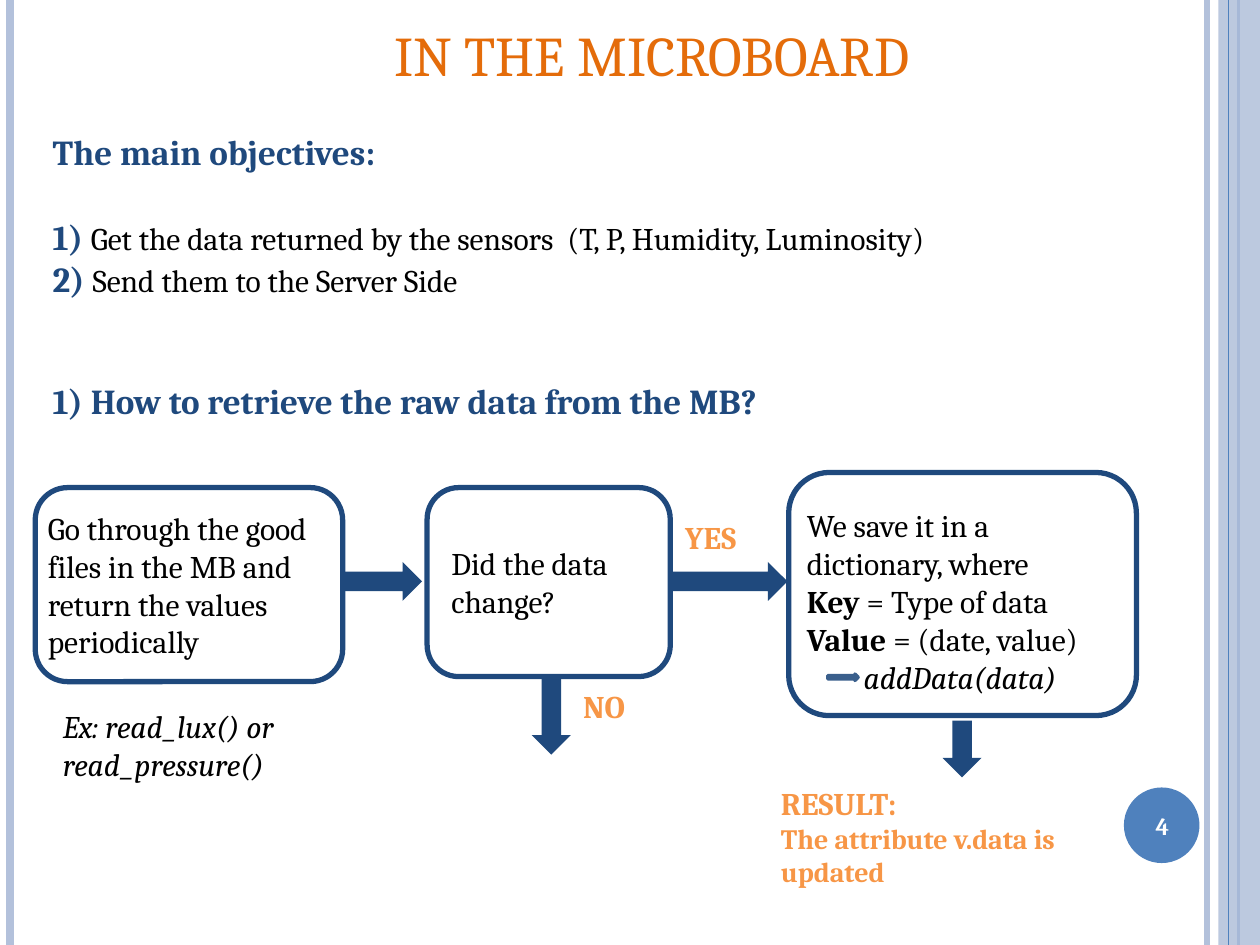
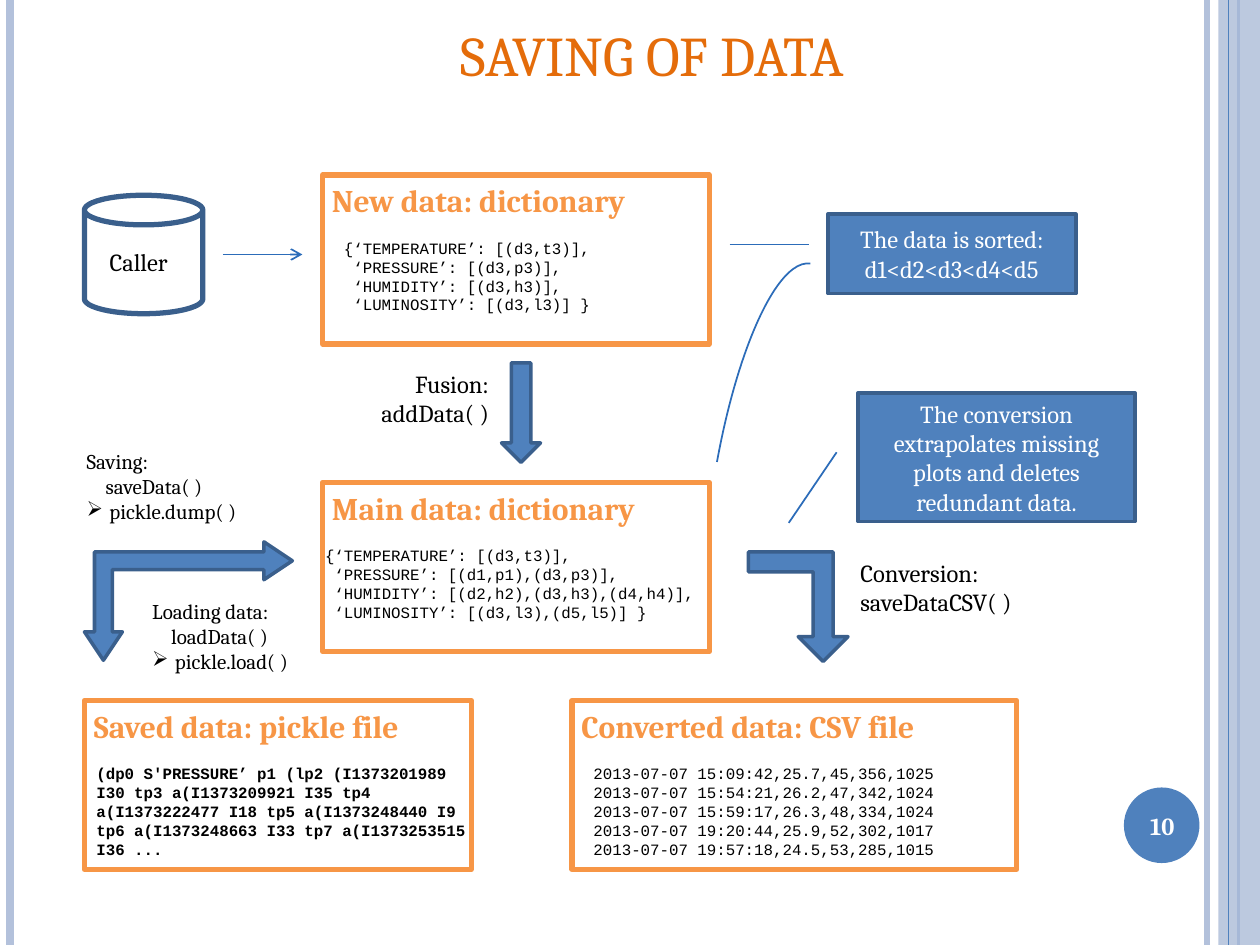
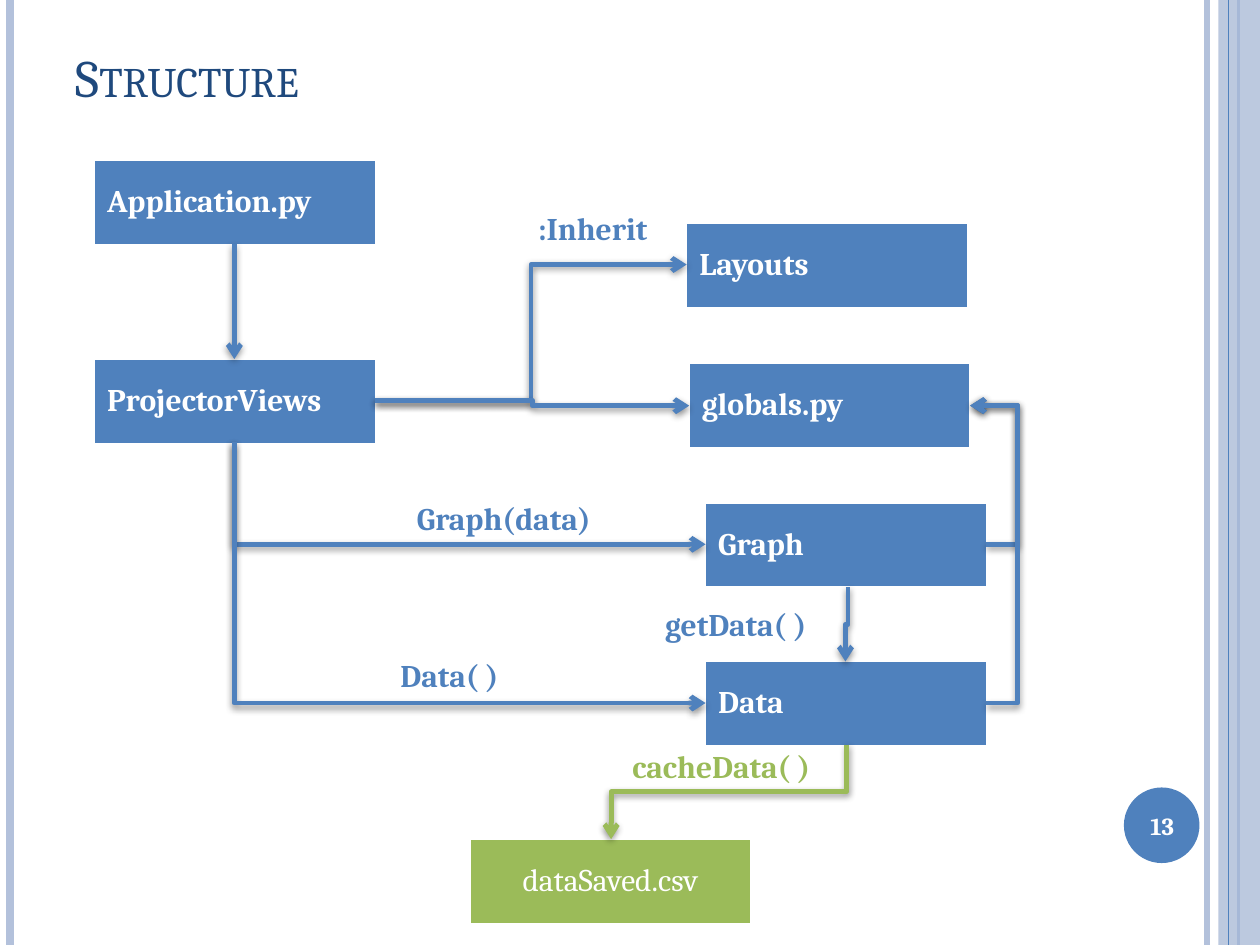
import pptx
import pptx.chart.data
import pptx.dml.color
import pptx.enum.shapes
import pptx.enum.text
import pptx.oxml
import pptx.oxml.ns
import pptx.util
import lxml.etree

COLORS = {
    "black": "000000", "white": "FFFFFF", "navy": "1F497D", "blue": "4F81BD",
    "edge": "3A5F8C", "wire": "2C6CB9", "pale": "B3C1DB", "orange": "F79646",
    "title": "E46C0A", "green": "9BBB59",
}
INK = {name: pptx.dml.color.RGBColor.from_string(code) for name, code in COLORS.items()}
FONT = "Cambria"
SHAPES = pptx.enum.shapes.MSO_SHAPE
ALIGN = pptx.enum.text.PP_ALIGN
ANCHOR = pptx.enum.text.MSO_ANCHOR
qn = pptx.oxml.ns.qn

deck = pptx.Presentation()
deck.slide_width = pptx.util.Inches(10)
deck.slide_height = pptx.util.Inches(7.5)
COL = deck.slide_width / 100
ROW = deck.slide_height / 75


def place(page, area, paras=(), kind=None, fill=None, line=None, weight=2, align="LEFT",
          anchor="TOP", inset=1, turn=0, flip=False, adjust=(), **style):
    left, top, width, height = area
    frame = [int(left * COL), int(top * ROW), int(width * COL), int(height * ROW)]
    if kind == "title":
        box = page.shapes.title
        box.left, box.top, box.width, box.height = frame
    elif kind is None:
        box = page.shapes.add_textbox(*frame)
    else:
        box = page.shapes.add_shape(kind, *frame)
        box.shadow.inherit = False
        box.rotation = turn
        for index, value in enumerate(adjust):
            box.adjustments[index] = value
        if flip:
            box.element.spPr.xfrm.set("flipH", "1")
        if fill:
            box.fill.solid()
            box.fill.fore_color.rgb = INK[fill]
        else:
            box.fill.background()
        if line:
            box.line.color.rgb = INK[line]
            box.line.width = pptx.util.Pt(weight)
        else:
            box.line.fill.background()
    text = box.text_frame
    text.word_wrap = True
    text.auto_size = pptx.enum.text.MSO_AUTO_SIZE.NONE
    text.vertical_anchor = ANCHOR[anchor]
    text.margin_left = text.margin_right = int(inset * COL)
    for index, entry in enumerate(paras):
        entry = entry if isinstance(entry, dict) else {"text": entry}
        look = {"size": 18, "color": "black", "bold": False, "italic": False, "font": FONT,
                **style, **entry}
        para = text.paragraphs[0] if index == 0 else text.add_paragraph()
        para.alignment = ALIGN[align]
        para.space_before = pptx.util.Pt(look.get("before", 0))
        settings = para._p.get_or_add_pPr()
        indent = int(look.get("indent", 0) * COL)
        settings.set("marL", str(indent))
        settings.set("indent", str(-indent if "bullet" in look else 0))
        if "bullet" in look:
            lxml.etree.SubElement(settings, qn("a:buChar")).set("char", look["bullet"])
        if isinstance(look["text"], str):
            para.add_run().text = look["text"]
            targets = [(para.font, look)]
        else:
            targets = []
            for words, extra in look["text"]:
                span = para.add_run()
                span.text = words
                targets.append((span.font, {**look, **extra}))
        for font, traits in targets:
            font.name = traits["font"]
            font.size = pptx.util.Pt(traits["size"])
            font.bold = traits["bold"]
            font.italic = traits["italic"]
            font.color.rgb = INK[traits["color"]]
    return box


def connect(page, start, end, color, weight, arrow=False, shadow=False, preset="line",
            turn=0, flip=False, adjust=None):
    if turn:
        middle = [(a + b) / 2 for a, b in zip(start, end)]
        across, down = [abs(b - a) / 2 for a, b in zip(start, end)]
        start = (middle[0] - down, middle[1] - across)
        end = (middle[0] + down, middle[1] + across)
    link = page.shapes.add_connector(
        pptx.enum.shapes.MSO_CONNECTOR.STRAIGHT,
        int(start[0] * COL), int(start[1] * ROW), int(end[0] * COL), int(end[1] * ROW))
    link.line.color.rgb = INK[color]
    link.line.width = pptx.util.Pt(weight)
    look = link.element.spPr
    geometry = look.find(qn("a:prstGeom"))
    geometry.set("prst", preset)
    if turn:
        look.find(qn("a:xfrm")).set("rot", str(turn * 60000))
    if flip:
        look.find(qn("a:xfrm")).set("flipH", "1")
    if adjust is not None:
        guide = lxml.etree.SubElement(geometry.find(qn("a:avLst")), qn("a:gd"))
        guide.set("name", "adj1")
        guide.set("fmla", f"val {int(adjust * 100000)}")
    if arrow:
        lxml.etree.SubElement(look.find(qn("a:ln")), qn("a:tailEnd")).set("type", "arrow")
    effects = lxml.etree.SubElement(look, qn("a:effectLst"))
    if shadow:
        cast = lxml.etree.SubElement(effects, qn("a:outerShdw"), blurRad="50800",
                                     dist="20320", dir="5400000", rotWithShape="0")
        tone = lxml.etree.SubElement(cast, qn("a:srgbClr"), val=COLORS["black"])
        lxml.etree.SubElement(tone, qn("a:alpha"), val="42000")
    return link


layout = deck.slide_layouts[5]
for holder in list(layout.placeholders):
    if holder.placeholder_format.type != pptx.enum.shapes.PP_PLACEHOLDER.TITLE:
        holder.element.getparent().remove(holder.element)
pages = [deck.slides.add_slide(layout) for _ in range(3)]
goals, saving, structure = pages

decor = [connect(goals, (x, 0), (x, 75), color, weight)
         for x, color, weight in [(95.8, "pale", 3), (0.8, "pale", 4.5), (98.3, "blue", 1.5)]]
band = place(goals, (96.7, 0, 3.3, 75), kind=SHAPES.RECTANGLE, fill="pale")
tone = band.element.spPr.find(qn("a:solidFill")).find(qn("a:srgbClr"))
lxml.etree.SubElement(tone, qn("a:alpha"), val="87000")
decor += [band, connect(goals, (97.5, 0), (97.5, 75), "blue", 0.75),
          place(goals, (89.2, 62.5, 6, 6), kind=SHAPES.OVAL, fill="blue")]
for item in decor:
    layout.shapes.element.append(item.element)

for page, number in zip(pages, ["4", "10", "13"]):
    place(page, (88.9, 62.7, 6.7, 5.7), [number], size=14, color="white", bold=True,
          align="CENTER", anchor="MIDDLE")
for page, heading in [(goals, "IN THE MICROBOARD"), (saving, "SAVING OF DATA")]:
    place(page, (23.2, 1.1, 57.1, 6.4), [heading], kind="title", size=32, color="title",
          align="CENTER")
heading = place(structure, (5, 3, 81.7, 6.1), ["Structure"], kind="title", size=30,
                color="navy", anchor="BOTTOM")
heading.text_frame.paragraphs[0].font._element.set("cap", "small")

label = {"size": 20, "color": "navy", "bold": True}
place(goals, (3.2, 9.9, 92.1, 17.5), [
    {"text": "The main objectives:", **label},
    {"text": [("1) ", label),
              ("Get the data returned by the sensors  (T, P, Humidity, Luminosity)", {})],
     "before": 24},
    {"text": [("2) ", label), ("Send them to the Server Side", {})]},
])
place(goals, (3.2, 29.6, 85.4, 4.4), ["1) How to retrieve the raw data from the MB?"], **label)

key = {"bold": True}
steps = [
    ((2.8, 38.7, 24.4, 15.4), 0.25,
     ["Go through the good files in the MB and return the values periodically"]),
    ((33.9, 38.7, 19.3, 15), 1.2, ["Did the data change?"]),
    ((62.6, 37.5, 27.6, 19.3), 0.5, [
        "We save it in a dictionary, where",
        {"text": [("Key", key), (" = Type of data", {})]},
        {"text": [("Value", key), (" = (date, value)", {})]},
        {"text": "addData(data)", "italic": True, "indent": 4.5}]),
]
for area, inset, words in steps:
    step = place(goals, area, words, kind=SHAPES.ROUNDED_RECTANGLE, line="navy", weight=3,
                 inset=inset, anchor="MIDDLE")
step.text_frame.margin_top = int(1.6 * ROW)

for area, turn in [((27.2, 44.6, 6.3, 3.1), 0), ((53.1, 44.6, 9.4, 3.1), 0),
                   ((40.6, 55.2, 6.3, 3.1), 90), ((74.1, 57.9, 4.5, 3.1), 90)]:
    place(goals, area, kind=SHAPES.RIGHT_ARROW, fill="navy", turn=turn)
place(goals, (65.7, 53.5, 2.4, 0.5), kind=SHAPES.RIGHT_ARROW, fill="blue", line="edge")
place(goals, (4, 55.6, 21.6, 7.1), ["Ex: read_lux() or  read_pressure()"], italic=True)
for area, words in [
    ((45.3, 54, 6.5, 4), ["NO"]),
    ((53.4, 40.6, 7.6, 4), ["YES"]),
    ((61, 61.7, 28.3, 9.4),
     ["RESULT:", {"text": "The attribute v.data is updated", "size": 16}]),
]:
    place(goals, area, words, color="orange", bold=True)

cards = [
    ((25.6, 13.9, 30.7, 13.4), "New data: dictionary", 1.5, False, [
        "{‘TEMPERATURE’: [(d3,t3)],", " ‘PRESSURE’: [(d3,p3)],",
        " ‘HUMIDITY’: [(d3,h3)],", " ‘LUMINOSITY’: [(d3,l3)] }"]),
    ((25.6, 38.3, 30.7, 13.4), "Main data: dictionary", 0, False, [
        "{‘TEMPERATURE’: [(d3,t3)],", " ‘PRESSURE’: [(d1,p1),(d3,p3)],",
        " ‘HUMIDITY’: [(d2,h2),(d3,h3),(d4,h4)],", " ‘LUMINOSITY’: [(d3,l3),(d5,l5)] }"]),
    ((6.7, 55.6, 30.7, 13.4), "Saved data: pickle file", 0.75, True, [
        "(dp0 S'PRESSURE’ p1 (lp2 (I1373201989", "I30 tp3 a(I1373209921 I35 tp4",
        "a(I1373222477 I18 tp5 a(I1373248440 I9", "tp6 a(I1373248663 I33 tp7 a(I1373253515",
        "I36 ..."]),
    ((45.4, 55.6, 35.3, 13.4), "Converted data: CSV file", 1.5, False, [
        "2013-07-07 15:09:42,25.7,45,356,1025", "2013-07-07 15:54:21,26.2,47,342,1024",
        "2013-07-07 15:59:17,26.3,48,334,1024", "2013-07-07 19:20:44,25.9,52,302,1017",
        "2013-07-07 19:57:18,24.5,53,285,1015"]),
]
for area, name, indent, bold, code in cards:
    words = [{"text": name, "color": "orange", "bold": True, "indent": 0.55}]
    words += [{"text": row, "font": "Courier New", "size": 9, "bold": bold, "indent": indent,
               "before": 0 if index else 11} for index, row in enumerate(code)]
    place(saving, area, words, kind=SHAPES.RECTANGLE, line="orange", weight=3, inset=0.2)

for kind, area, turn, flip, adjust in [
    (SHAPES.LEFT_UP_ARROW, (6.7, 43, 16.5, 9.4), 180, False, (0.15, 0.16, 0.24)),
    (SHAPES.BENT_UP_ARROW, (59.4, 43.8, 7.9, 8.7), 180, True, (0.2, 0.25, 0.25)),
    (SHAPES.RIGHT_ARROW, (37.4, 31.2, 7.9, 3.1), 90, False, ()),
]:
    place(saving, area, kind=kind, fill="blue", line="edge", turn=turn, flip=flip, adjust=adjust)
for area, words in [
    ((65.7, 17, 19.7, 6.3), "The data is sorted: d1<d2<d3<d4<d5"),
    ((68.1, 31.2, 22, 10.2),
     "The conversion extrapolates missing plots and deletes redundant data."),
]:
    place(saving, area, [words], kind=SHAPES.RECTANGLE, fill="blue", line="edge", size=14,
          color="white", align="CENTER", anchor="MIDDLE")
place(saving, (28, 28.8, 11.8, 5.7), ["Fusion:", "addData( )"], size=14, align="RIGHT")
place(saving, (67.3, 43.8, 16.5, 5.7), ["Conversion:", "saveDataCSV( )"], size=14)
for area, name, call, inner in [
    ((5.9, 35.1, 17.3, 7.1), "Saving:", "saveData( )", "pickle.dump( )"),
    ((11.1, 47, 14.2, 7.1), "Loading data:", "loadData( )", "pickle.load( )"),
]:
    place(saving, area, [name, {"text": call, "indent": 1.5},
                         {"text": inner, "indent": 1.8, "bullet": "➢"}], size=12)
place(saving, (6.7, 15.5, 9.4, 9.4), ["Caller"], kind=SHAPES.CAN, line="edge", weight=3,
      size=14, inset=2, anchor="MIDDLE")
for start, end, arrow in [((57.9, 19.4), (64.2, 19.4), False),
                          ((17.7, 20.2), (24, 20.2), True),
                          ((62.6, 41.5), (66.4, 35.9), False)]:
    connect(saving, start, end, "wire", 1, arrow)
place(saving, (42.7, 34.5, 37.6, 10), kind=SHAPES.ARC, line="wire", weight=1, turn=278.6,
      adjust=(175.9, 0))

for left, top, name, fill in [
    (7.5, 12.7, "Application.py", "blue"), (56, 52.5, "Data", "blue"),
    (56, 39.9, "Graph", "blue"), (7.5, 28.5, "ProjectorViews", "blue"),
    (54.5, 17.7, "Layouts", "blue"), (54.7, 28.8, "globals.py", "blue"),
    (37.3, 66.6, "dataSaved.csv", "green"),
]:
    table = structure.shapes.add_table(1, 1, int(left * COL), int(top * ROW),
                                       int(22.3 * COL), int(6.7 * ROW)).table
    cell = table.cell(0, 0)
    cell.fill.solid()
    cell.fill.fore_color.rgb = INK[fill]
    cell.vertical_anchor = ANCHOR.MIDDLE
    cell.text = name
    para = cell.text_frame.paragraphs[0]
    para.alignment = ALIGN.CENTER if fill == "green" else ALIGN.LEFT
    para.font.name = FONT
    para.font.size = pptx.util.Pt(18)
    para.font.bold = fill == "blue"
    para.font.color.rgb = INK["white"]
    table.first_row = fill == "blue"

corner = {"preset": "bentConnector2", "turn": 270, "flip": True}
drop = {"preset": "bentConnector3", "turn": 90}
elbow = {"preset": "bentConnector3"}
around = {"preset": "bentConnector3", "adjust": -1.9}
for start, end, color, bend in [
    ((18.6, 19.4), (18.6, 28.5), "blue", {}),
    ((18.6, 35.1), (56, 43.2), "blue", corner),
    ((18.6, 35.1), (56, 55.8), "blue", corner),
    ((67.3, 46.6), (67.1, 52.5), "blue", drop),
    ((29.8, 31.8), (54.5, 21), "blue", elbow),
    ((29.8, 31.8), (54.7, 32.2), "blue", elbow),
    ((78.3, 43.2), (77, 32.2), "blue", around),
    ((78.3, 55.8), (77, 32.2), "blue", around),
    ((67.2, 59.1), (48.5, 66.6), "green", drop),
]:
    connect(structure, start, end, color, 2.75, arrow=True, shadow=True, **bend)

for left, top, width, name, color in [
    (49.2, 58.8, 18.6, "cacheData( )", "green"), (30.8, 51.6, 12.9, "Data( )", "blue"),
    (32.1, 39.1, 21, "Graph(data)", "blue"), (51.8, 47.5, 21, "getData( )", "blue"),
    (41.7, 16.1, 12.3, ":Inherit", "blue"),
]:
    place(structure, (left, top, width, 4), [name], color=color, bold=True)

deck.save("out.pptx")
